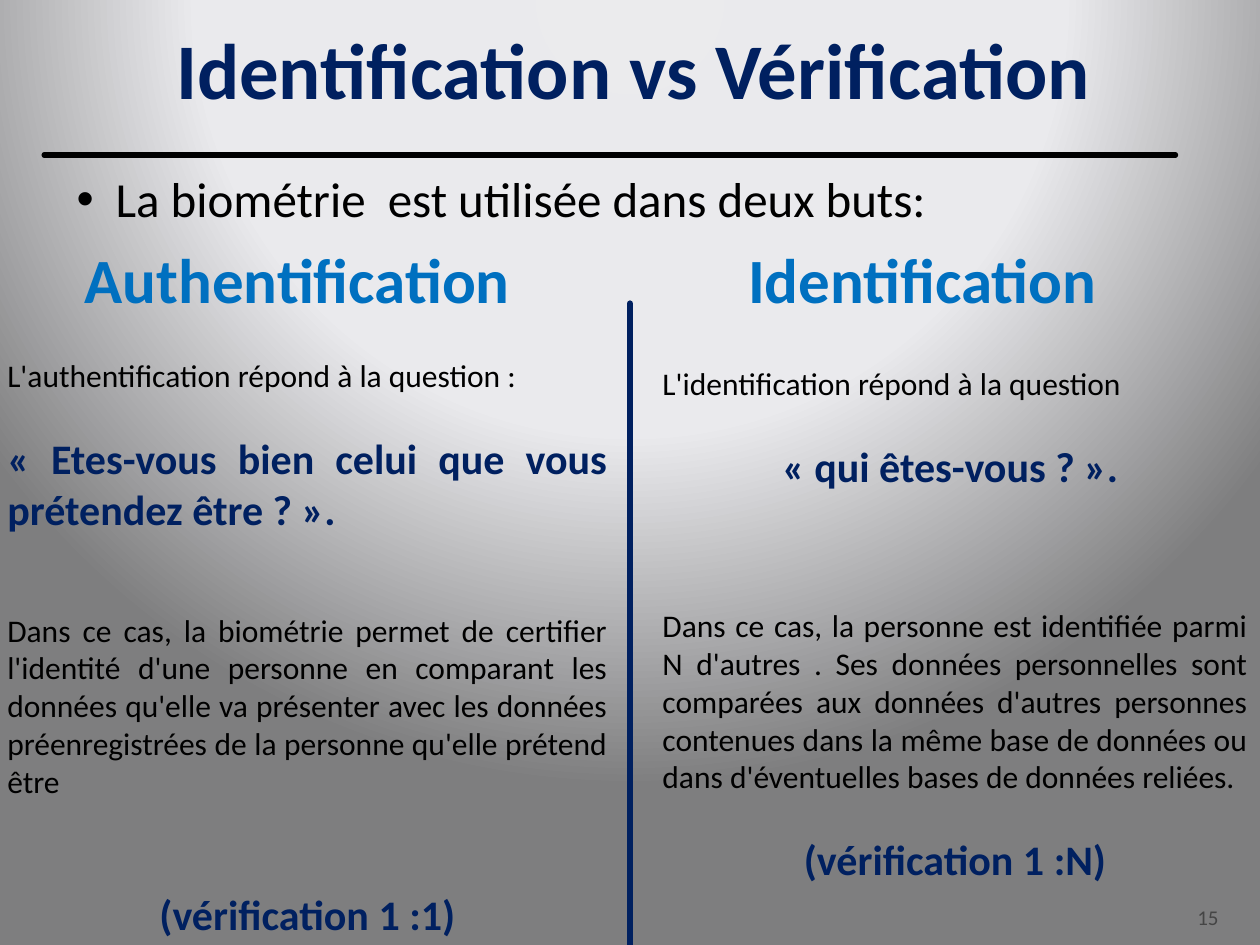
from dataclasses import dataclass

from pptx import Presentation
from pptx.dml.color import RGBColor
from pptx.enum.shapes import MSO_CONNECTOR as Connector
from pptx.enum.text import MSO_ANCHOR as Anchor, PP_ALIGN as Align
from pptx.oxml import parse_xml
from pptx.oxml.ns import nsdecls, qn
from pptx.oxml.xmlchemy import OxmlElement
from pptx.slide import Slide
from pptx.util import Inches, Pt

BLACK = RGBColor(0x00, 0x00, 0x00)
NAVY = RGBColor(0x00, 0x20, 0x60)
BLUE = RGBColor(0x00, 0x70, 0xC0)
GREY = RGBColor(0x45, 0x45, 0x45)
PALE = RGBColor(0xEB, 0xEB, 0xED)
MIST = RGBColor(0xEA, 0xEA, 0xED)
STEEL = RGBColor(0x7E, 0x7E, 0x7F)
FONT = "Calibri"
CELL = Inches(0.1)
COLUMNS, ROWS = 100, 75


@dataclass(frozen=True)
class Area:
    column: float
    row: float
    columns: float
    rows: float


@dataclass(frozen=True)
class Rule:
    start: tuple[float, float]
    end: tuple[float, float]
    color: RGBColor
    width: float


@dataclass(frozen=True)
class Topic:
    heading: str
    heading_column: float
    area: Area
    intro: str
    question: str
    question_align: Align
    detail: str
    verdict: str
    gaps: tuple[float, float, float]


RULES = (
    Rule((3.5, 12.3), (93.3, 12.3), BLACK, 3),
    Rule((50, 24.1), (50, ROWS), NAVY, 3.75),
)

TOPICS = (
    Topic(
        "Authentification", 3.5, Area(-0.4, 27.8, 49.6, 47.5),
        "L'authentification répond à la question : ",
        "« Etes-vous bien celui que vous prétendez être ? ». ", Align.JUSTIFY,
        "Dans ce cas, la biométrie permet de certifier l'identité d'une personne "
        "en comparant les données qu'elle va présenter avec les données "
        "préenregistrées de la personne qu'elle prétend être ",
        "(vérification 1 :1)", (22, 44, 51),
    ),
    Topic(
        "Identification", 53.1, Area(51.6, 28.4, 48.4, 45.4),
        "L'identification répond à la question ",
        "« qui êtes-vous ? ». ", Align.CENTER,
        "Dans ce cas, la personne est identifiée parmi N d'autres . Ses données "
        "personnelles sont comparées aux données d'autres personnes contenues "
        "dans la même base de données ou dans d'éventuelles bases de données "
        "reliées. ",
        "(vérification 1 :N)", (22, 66, 22),
    ),
)


def cells(count: float) -> int:
    return round(count * CELL)


def paint_background(page: Slide) -> None:
    page.background.fill.gradient()
    gradient = page.element.find(".//" + qn("a:gradFill"))
    stops = "".join(
        f'<a:gs pos="{share * 1000}"><a:srgbClr val="{color}"/></a:gs>'
        for share, color in ((0, PALE), (12, PALE), (55, MIST), (100, STEEL))
    )
    radial = parse_xml(
        f'<a:gradFill {nsdecls("a")} rotWithShape="1"><a:gsLst>{stops}</a:gsLst>'
        '<a:path path="circle"><a:fillToRect l="10000" t="-25000" '
        'r="10000" b="125000"/></a:path></a:gradFill>'
    )
    gradient.getparent().replace(gradient, radial)


def draw_rule(page: Slide, rule: Rule) -> None:
    ends = [cells(value) for value in rule.start + rule.end]
    line = page.shapes.add_connector(Connector.STRAIGHT, *ends)
    line.line.color.rgb = rule.color
    line.line.width = Pt(rule.width)
    properties = line._element.spPr
    properties.find(qn("a:ln")).set("cap", "rnd")
    properties.append(OxmlElement("a:effectLst"))


def add_frame(page: Slide, area: Area):
    box = page.shapes.add_textbox(
        cells(area.column), cells(area.row), cells(area.columns), cells(area.rows)
    )
    box.text_frame.word_wrap = True
    return box.text_frame


def write(frame, text: str, *, size: float, color: RGBColor = BLACK,
          bold: bool = False, align: Align = Align.LEFT, before: float = 0,
          spacing: float = 1, bullet: bool = False) -> None:
    para = frame.paragraphs[0] if not frame.text else frame.add_paragraph()
    para.alignment = align
    para.line_spacing = spacing
    para.space_before = Pt(before)
    if bullet:
        properties = para._p.get_or_add_pPr()
        properties.set("marL", str(Inches(0.31)))
        properties.set("indent", str(-Inches(0.31)))
        typeface = OxmlElement("a:buFont")
        typeface.set("typeface", "Arial")
        mark = OxmlElement("a:buChar")
        mark.set("char", "•")
        properties.extend((typeface, mark))
    span = para.add_run()
    span.text = text
    span.font.name = FONT
    span.font.size = Pt(size)
    span.font.bold = bold
    span.font.color.rgb = color


def draw_topic(page: Slide, topic: Topic) -> None:
    heading = add_frame(page, Area(topic.heading_column, 18.6, 40.2, 7.1))
    write(heading, topic.heading, size=36, color=BLUE, bold=True, align=Align.CENTER)
    body = add_frame(page, topic.area)
    to_question, to_detail, to_verdict = topic.gaps
    write(body, topic.intro, size=18, align=Align.JUSTIFY)
    write(body, topic.question, size=24, color=NAVY, bold=True,
          align=topic.question_align, before=to_question)
    write(body, topic.detail, size=18, align=Align.JUSTIFY, before=to_detail)
    write(body, topic.verdict, size=24, color=NAVY, bold=True,
          align=Align.CENTER, before=to_verdict)


def main() -> None:
    deck = Presentation()
    deck.slide_width, deck.slide_height = cells(COLUMNS), cells(ROWS)
    page = deck.slides.add_slide(deck.slide_layouts[6])
    paint_background(page)

    number = add_frame(page, Area(89.7, 70.8, 8, 3))
    number.vertical_anchor = Anchor.BOTTOM
    number.margin_bottom = 0
    write(number, "15", size=12, color=GREY, align=Align.RIGHT)

    for rule in RULES:
        draw_rule(page, rule)

    purpose = add_frame(page, Area(5.1, 12.9, 84.3, 5.7))
    write(purpose, "La biométrie  est utilisée dans deux buts:", size=28, bullet=True)

    for topic in TOPICS:
        draw_topic(page, topic)

    title = add_frame(page, Area(13, 0, 80.3, 9.7))
    write(title, "Identification vs Vérification", size=45, color=NAVY, bold=True,
          spacing=1.15)
    deck.save("out.pptx")


if __name__ == "__main__":
    main()
